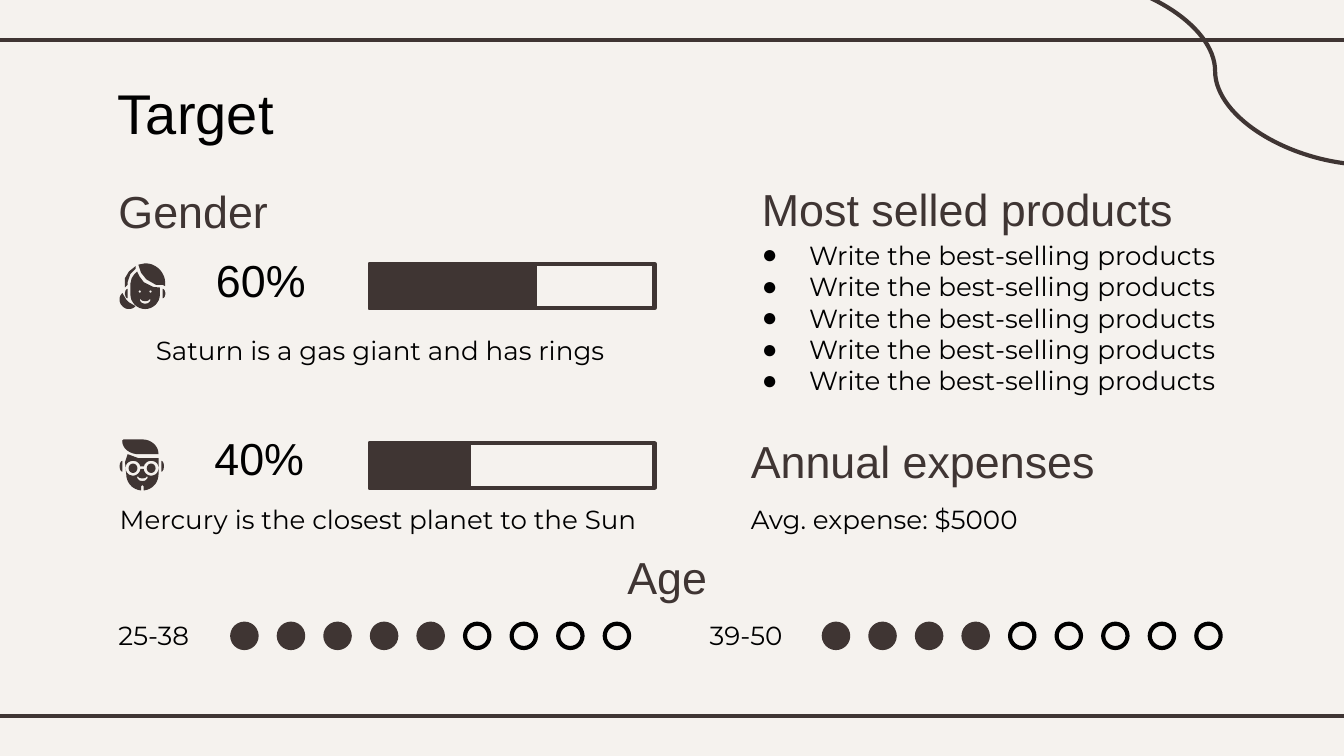
import math

from lxml import etree
from pptx import Presentation
from pptx.dml.color import RGBColor
from pptx.enum import shapes, text
from pptx.oxml import ns
from pptx.util import Cm, Pt

COLORS = {"paper": "F5F2EE", "ink": "3F3533", "black": "000000"}


def arc(cx, cy, rx, ry, start, end, steps=16):
    """Points along an ellipse; degrees run clockwise from the right."""
    angles = [math.radians(start + (end - start) * i / steps) for i in range(steps + 1)]
    return [(cx + rx * math.cos(a), cy + ry * math.sin(a)) for a in angles]


def paint(shape, fill=None, line=None):
    shape.shadow.inherit = False
    if fill:
        shape.fill.solid()
        shape.fill.fore_color.rgb = RGBColor.from_string(COLORS[fill])
    else:
        shape.fill.background()
    if line:
        shape.line.color.rgb = RGBColor.from_string(COLORS[line])
        shape.line.width = Pt(2.25)
    else:
        shape.line.fill.background()


deck = Presentation()
deck.slide_width, deck.slide_height = Cm(25.4), Cm(14.29)
page = deck.slides.add_slide(deck.slide_layouts[1])
page.background.fill.solid()
page.background.fill.fore_color.rgb = RGBColor.from_string(COLORS["paper"])

# Frame lines and corner curve
KIND = shapes.MSO_CONNECTOR
for kind, *ends in [
    (KIND.STRAIGHT, -0.2, 0.76, 25.6, 0.76),
    (KIND.STRAIGHT, -0.2, 13.54, 25.6, 13.54),
    (KIND.CURVE, 20.02, -0.43, 25.91, 3.12),
]:
    connector = page.shapes.add_connector(kind, *[Cm(end) for end in ends])
    connector.line.color.rgb = RGBColor.from_string(COLORS["ink"])
    connector.line.width = Pt(2.25)
    etree.SubElement(connector._element.spPr, ns.qn("a:effectLst"))

# Gender icons: each piece is a list of contours in hundredths of an inch
woman = [
    [arc(95, 218.5, 2, 3.5, 270, 90)],
    [arc(96, 223, 7, 7, 225, 45) + [(96, 225), (94, 223)]],
    [
        arc(108, 219, 11, 11, 180, 0)
        + [(119, 214), (114, 213.5), (107, 210), (104, 206), (102, 202), (100, 204), (98, 207), (97, 211)],
        arc(104, 217, 0.9, 0.9, 0, 360),
        arc(112, 217, 0.9, 0.9, 0, 360),
        arc(108, 222.8, 4, 3.2, 0, 180) + arc(108, 222.8, 3, 1.3, 180, 0),
    ],
    [arc(121, 218.5, 2, 3.5, -90, 90)],
    [[(103, 197)] + arc(108, 211, 15, 15, -90, 0)
     + [(123, 213), (121, 212), (116, 212), (109, 208), (105, 203)]],
    [[(101, 198), (96, 202), (93, 207), (93, 214), (95, 212), (95, 210), (97, 204), (101, 200)]],
]
man = [
    [arc(91, 347, 2, 4, 270, 90)],
    [arc(106, 338, 12, 11, -90, 0) + arc(103, 328, 12, 10, 90, 180) + [(92, 327)]],
    [arc(99, 348.5, 3.3, 3.5, 0, 360)],
    [arc(112.5, 348.5, 3.3, 3.5, 0, 360)],
    [
        arc(106, 353, 12, 12, 180, 95) + [(105, 362), (106, 361), (107, 362)]
        + arc(106, 353, 12, 12, 85, 0) + arc(112.5, 348.5, 5.5, 5.5, 0, 175)
        + arc(99, 348.5, 5.5, 5.5, 5, 180),
        arc(106, 354.8, 4, 3.2, 0, 180) + arc(106, 354.8, 3, 1.2, 180, 0),
    ],
    [[(95, 338), (93, 344)] + arc(99, 348, 5.5, 5, 180, 350)
     + arc(112.5, 348, 5.5, 5, 190, 360) + [(118, 341), (103, 341)]],
    [arc(120, 347, 2, 4, -90, 90)],
]
for icon in (woman, man):
    group = page.shapes.add_group_shape()
    for piece in icon:
        contours = [[(x * 10, y * 10) for x, y in contour] for contour in piece]
        outline = group.shapes.build_freeform(*contours[0][0], scale=Cm(2.54) / 1000)
        outline.add_line_segments(contours[0][1:], close=True)
        for hole in contours[1:]:
            outline.move_to(*hole[0])
            outline.add_line_segments(hole[1:], close=True)
        paint(outline.convert_to_shape(), "ink")

# Gender bars: full frame, then the filled share
for top, share in [(4.99, 3.12), (8.38, 1.88)]:
    for width, fill in [(5.38, None), (share, "ink")]:
        bar = page.shapes.add_shape(shapes.MSO_SHAPE.RECTANGLE, Cm(6.99), Cm(top), Cm(width), Cm(0.84))
        paint(bar, fill, "ink")

# Age scales: nine dots each
for left, filled in [(4.39, 5), (15.57, 4)]:
    group = page.shapes.add_group_shape()
    for i in range(9):
        dot = group.shapes.add_shape(
            shapes.MSO_SHAPE.OVAL, Cm(left + i * 0.88), Cm(11.79), Cm(0.46), Cm(0.46))
        paint(dot, *(("ink", "ink") if i < filled else (None, "black")))

# Texts: target, lines, position, inset, format
TITLE = {"name": "Arial", "size": Pt(30), "color": "black"}
HEADING = {"name": "Arial", "size": Pt(24), "color": "ink"}
FIGURE = {"name": "Arial", "size": Pt(24), "color": "black"}
BODY = {"name": "Montserrat", "size": Pt(14), "color": "black"}
LEFT, CENTER = text.PP_ALIGN.LEFT, text.PP_ALIGN.CENTER
TOP, MIDDLE = text.MSO_ANCHOR.TOP, text.MSO_ANCHOR.MIDDLE
title, products = page.placeholders
for box, lines, place, inset, style, align, anchor in [
    (title, ["Target"], (1.98, 1.24, 21.44, 1.6), 0.25, TITLE, LEFT, TOP),
    (products, ["Write the best-selling products"] * 5, (13.77, 4.27, 9.75, 3.58), 0.25, BODY, LEFT, TOP),
    (None, ["Gender"], (2.24, 3.48, 3.68, 1.07), 0, HEADING, LEFT, TOP),
    (None, ["60%"], (3.99, 4.78, 1.88, 1.3), 0, FIGURE, CENTER, TOP),
    (None, ["Saturn is a gas giant and has rings"], (2.01, 6.07, 10.36, 1.07), 0.25, BODY, CENTER, TOP),
    (None, ["40%"], (3.96, 8.15, 1.88, 1.3), 0, FIGURE, CENTER, TOP),
    (None, ["Mercury is the closest planet to the Sun"], (2.01, 9.27, 10.36, 0.86), 0.25, BODY, LEFT, TOP),
    (None, ["Most selled products"], (14.15, 3.18, 9.37, 1.37), 0.25, HEADING, LEFT, TOP),
    (None, ["Annual expenses"], (13.94, 7.95, 9.58, 1.37), 0.25, HEADING, LEFT, TOP),
    (None, ["Avg. expense: $5000"], (13.94, 9.27, 9.58, 1.07), 0.25, BODY, LEFT, TOP),
    (None, ["Age"], (10.77, 10.39, 3.68, 1.07), 0, HEADING, CENTER, TOP),
    (None, ["25-38"], (2.24, 11.63, 1.65, 0.76), 0, BODY, LEFT, MIDDLE),
    (None, ["39-50"], (13.41, 11.63, 1.65, 0.76), 0, BODY, LEFT, MIDDLE),
]:
    place = [Cm(value) for value in place]
    if box is None:
        box = page.shapes.add_textbox(*place)
    box.left, box.top, box.width, box.height = place
    frame = box.text_frame
    frame.word_wrap = True
    frame.auto_size = text.MSO_AUTO_SIZE.NONE
    frame.vertical_anchor = anchor
    for side in ("left", "top", "right", "bottom"):
        setattr(frame, f"margin_{side}", Cm(inset))
    frame.text = "\n".join(lines)
    for para in frame.paragraphs:
        para.alignment = align
        para.space_before = Pt(0)
        para.line_spacing = 1.0
        if box is products:
            props = para._p.get_or_add_pPr()
            props.set("marL", str(Cm(1.27)))
            props.set("indent", str(-Cm(0.89)))
            bullet_color = etree.SubElement(props, ns.qn("a:buClr"))
            etree.SubElement(bullet_color, ns.qn("a:srgbClr"), val=COLORS["black"])
            etree.SubElement(props, ns.qn("a:buChar"), char="●")
        for span in para.runs:
            for key in ("name", "size"):
                setattr(span.font, key, style[key])
            span.font.color.rgb = RGBColor.from_string(COLORS[style["color"]])

deck.save("out.pptx")
